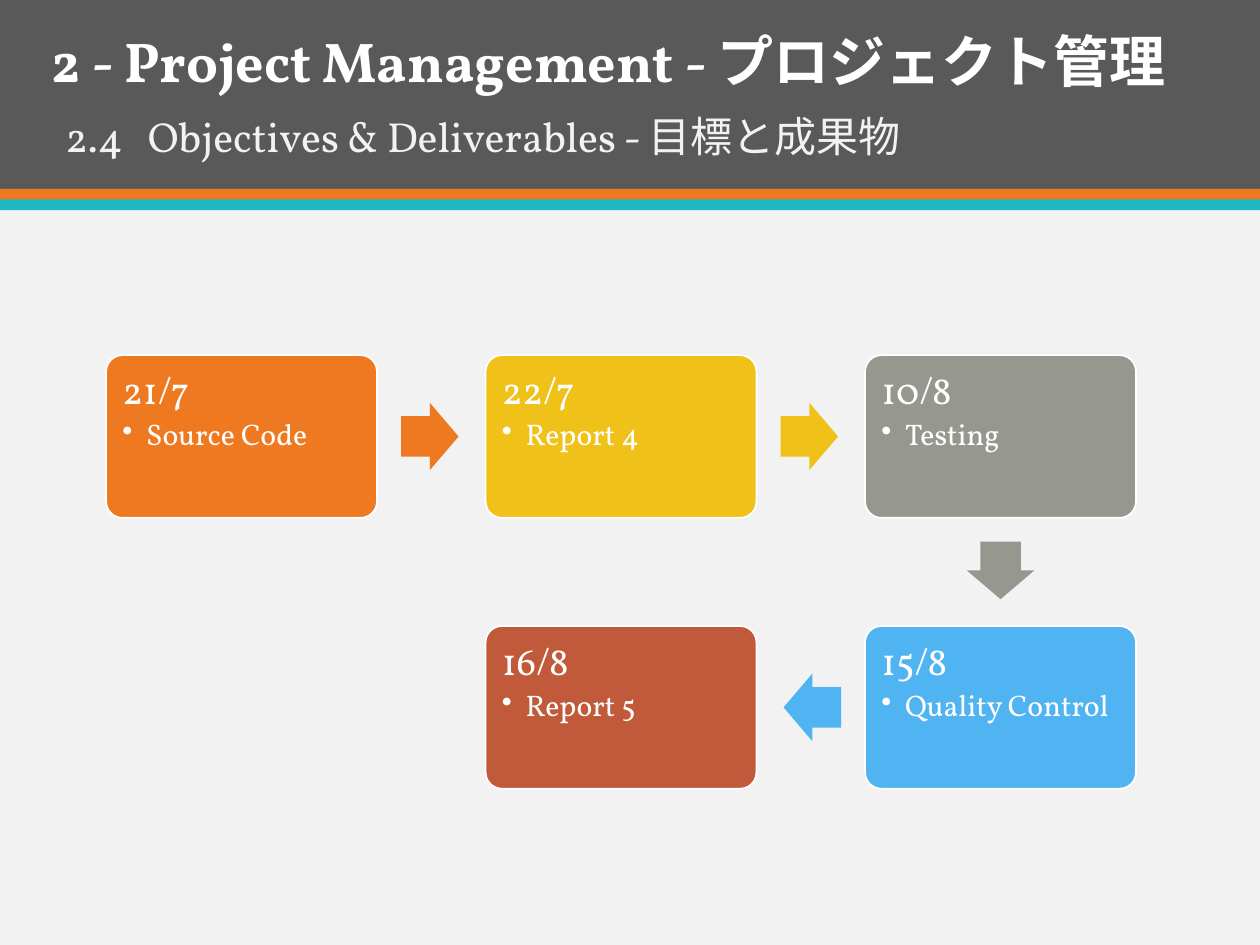
from math import atan2, degrees
from lxml.etree import SubElement
from pptx import Presentation
from pptx.dml.color import RGBColor
from pptx.enum.shapes import MSO_SHAPE as Shape
from pptx.enum.text import MSO_ANCHOR as Anchor, PP_ALIGN as Align
from pptx.oxml.ns import qn
from pptx.util import Cm, Pt

FONT = "Vollkorn"
COLORS = {
    "paper": "F2F2F2", "white": "FFFFFF", "header": "595959",
    "orange": "EF7920", "teal": "1EB8C1", "yellow": "EFC119",
    "gray": "969890", "blue": "50B4F2", "rust": "C05A3A",
}
TITLE = "2 - Project Management - プロジェクト管理"
SUBTITLE = "2.4\tObjectives & Deliverables - 目標と成果物"
BANDS = [("header", 0, 3.81), ("orange", 3.81, 0.22), ("teal", 4.02, 0.22)]
MILESTONES = [
    ("21/7", "Source Code", "orange", 0, 0),
    ("22/7", "Report 4", "yellow", 1, 0),
    ("10/8", "Testing", "gray", 2, 0),
    ("15/8", "Quality Control", "blue", 2, 1),
    ("16/8", "Report 5", "rust", 1, 1),
]
LEFT, TOP = 2.14, 7.16
BOX_W, BOX_H = 5.46, 3.28
PITCH_X, PITCH_Y = 7.65, 5.46
ARROW_W, ARROW_H, ARROW_SHIFT = 1.16, 1.36, 0.03
INSET, INDENT = 0.23, 0.48


def rgb(name):
    return RGBColor.from_string(COLORS[name])


def add_block(slide, kind, x, y, w, h, color):
    sp = slide.shapes.add_shape(kind, Cm(x), Cm(y), Cm(w), Cm(h))
    sp.shadow.inherit = False
    sp.fill.solid()
    sp.fill.fore_color.rgb = rgb(color)
    sp.line.fill.background()
    return sp


def add_run(p, text, size, color="white", bold=False):
    r = p.add_run()
    r.text = text
    r.font.name = FONT
    r.font.size = Pt(size)
    r.font.bold = bold
    r.font.color.rgb = rgb(color)


def add_heading(slide, x, y, w, h, text, size, color, bold=False):
    tf = slide.shapes.add_textbox(Cm(x), Cm(y), Cm(w), Cm(h)).text_frame
    tf.word_wrap = True
    p = tf.paragraphs[0]
    add_run(p, text, size, color, bold)
    return p


def add_tab(p, pos):
    tabs = SubElement(p._p.get_or_add_pPr(), qn("a:tabLst"))
    SubElement(tabs, qn("a:tab"), pos=str(Cm(pos)), algn="l")


def add_bullet(p):
    pPr = p._p.get_or_add_pPr()
    pPr.set("marL", str(Cm(INDENT)))
    pPr.set("indent", str(-Cm(INDENT)))
    SubElement(pPr, qn("a:buChar"), char="•")


def add_milestone(slide, date, task, color, col, row):
    sp = add_block(slide, Shape.ROUNDED_RECTANGLE, LEFT + col * PITCH_X,
                   TOP + row * PITCH_Y, BOX_W, BOX_H, color)
    sp.adjustments[0] = 0.1
    sp.line.color.rgb = rgb("white")
    sp.line.width = Pt(1)
    tf = sp.text_frame
    tf.word_wrap = True
    tf.vertical_anchor = Anchor.TOP
    tf.margin_left = tf.margin_right = Cm(INSET)
    tf.margin_top = tf.margin_bottom = Cm(INSET)
    head, item = tf.paragraphs[0], tf.add_paragraph()
    add_bullet(item)
    item.level = 1
    for p, text, size, after in ((head, date, 22, 4), (item, task, 17, 2.5)):
        p.alignment = Align.LEFT
        p.line_spacing = 0.9
        p.space_after = Pt(after)
        add_run(p, text, size)


def add_arrow(slide, start, end, color):
    (c0, r0), (c1, r1) = start, end
    dx, dy = c1 - c0, r1 - r0
    cx = LEFT + BOX_W / 2 + (c0 + c1) / 2 * PITCH_X - dx * ARROW_SHIFT
    cy = TOP + BOX_H / 2 + (r0 + r1) / 2 * PITCH_Y - dy * ARROW_SHIFT
    sp = add_block(slide, Shape.RIGHT_ARROW, cx - ARROW_W / 2,
                   cy - ARROW_H / 2, ARROW_W, ARROW_H, color)
    sp.adjustments[0] = 0.6
    sp.adjustments[1] = 0.5
    sp.rotation = degrees(atan2(dy, dx))


def main():
    prs = Presentation()
    prs.slide_width, prs.slide_height = Cm(25.4), Cm(19.05)
    slide = prs.slides.add_slide(prs.slide_layouts[6])
    slide.background.fill.solid()
    slide.background.fill.fore_color.rgb = rgb("paper")
    for color, y, h in BANDS:
        add_block(slide, Shape.RECTANGLE, 0, y, 25.4, h, color)

    p = add_heading(slide, 1.07, 2.21, 24.33, 1.32, SUBTITLE, 24, "paper")
    add_tab(p, 1.66)
    p.line_spacing = 0.9
    add_heading(slide, 0.79, 0.41, 24.61, 1.63, TITLE, 32, "white", True)

    for m in MILESTONES:
        add_milestone(slide, *m)
    for a, b in zip(MILESTONES, MILESTONES[1:]):
        add_arrow(slide, a[3:], b[3:], a[2])
    prs.save("out.pptx")


if __name__ == "__main__":
    main()
